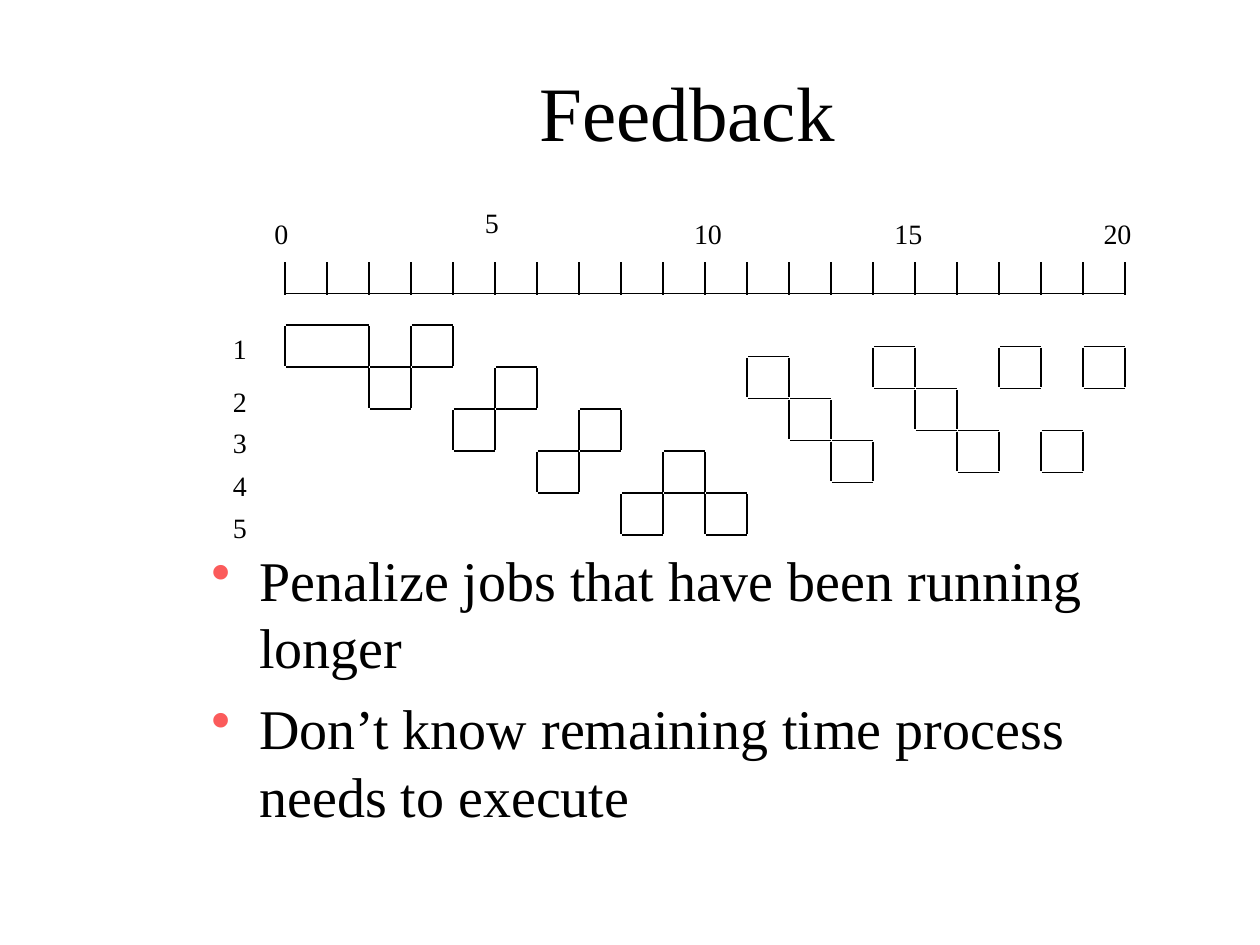
import pptx
import pptx.util
from lxml import etree
from pptx.dml.color import RGBColor
from pptx.enum.shapes import MSO_CONNECTOR
from pptx.enum.text import MSO_ANCHOR, PP_ALIGN
from pptx.oxml.ns import qn
from pptx.util import Inches

COLORS = {"ink": "000000", "bullet": "FB5B5B"}
FONT = "Times New Roman"
SLOT = 1 / 3
AXIS_LEFT, AXIS_Y, TICK_TOP = 2.26, 2.33, 2.08
SLOT_COUNT = 20
EDGE_GAP = 0.01

TIME_LABELS = [("0", 2.08, 1.67), ("5", 3.75, 1.58), ("10", 5.41, 1.67),
               ("15", 7, 1.67), ("20", 8.66, 1.67)]
PROCESS_LABELS = [("1", 2.58), ("2", 3), ("3", 3.33), ("4", 3.67), ("5", 4)]
# Top of the first row -> (start slot, row, slots used)
RUNS = {
    2.58: [(0, 0, 2), (2, 1, 1), (3, 0, 1), (4, 2, 1), (5, 1, 1), (6, 3, 1),
           (7, 2, 1), (8, 4, 1), (9, 3, 1), (10, 4, 1)],
    2.83: [(11, 0, 1), (12, 1, 1), (13, 2, 1)],
    2.75: [(14, 0, 1), (15, 1, 1), (16, 2, 1), (17, 0, 1), (18, 2, 1),
           (19, 0, 1)],
}
POINTS = ["Penalize jobs that have been running longer",
          "Don’t know remaining time process needs to execute"]


def add_bullet(paragraph):
    """Give the paragraph a coloured bullet with a hanging indent."""
    properties = paragraph._p.get_or_add_pPr()
    properties.set("marL", str(Inches(0.38)))
    properties.set("indent", str(Inches(-0.38)))
    color = etree.SubElement(properties, qn("a:buClr"))
    etree.SubElement(color, qn("a:srgbClr"), val=COLORS["bullet"])
    etree.SubElement(properties, qn("a:buChar"), char="•")


def add_text(slide, lines, left, top, width, height, size=16,
             align=PP_ALIGN.LEFT, anchor=MSO_ANCHOR.TOP, wrap=True,
             bullets=False, space_before=0):
    box = slide.shapes.add_textbox(Inches(left), Inches(top),
                                   Inches(width), Inches(height))
    frame = box.text_frame
    frame.word_wrap = wrap
    frame.vertical_anchor = anchor
    for index, line in enumerate(lines):
        paragraph = frame.paragraphs[0] if index == 0 else frame.add_paragraph()
        if bullets:
            add_bullet(paragraph)
        paragraph.alignment = align
        if index:
            paragraph.space_before = pptx.util.Pt(space_before)
        run = paragraph.add_run()
        run.text = line
        run.font.size = pptx.util.Pt(size)
        run.font.name = FONT
        run.font.color.rgb = RGBColor.from_string(COLORS["ink"])


def add_line(slide, x1, y1, x2, y2):
    line = slide.shapes.add_connector(MSO_CONNECTOR.STRAIGHT, Inches(x1),
                                      Inches(y1), Inches(x2), Inches(y2))
    line.line.width = pptx.util.Pt(1)
    line.line.color.rgb = RGBColor.from_string(COLORS["ink"])
    etree.SubElement(line._element.spPr, qn("a:effectLst"))


def slot_x(slot):
    return AXIS_LEFT + slot * SLOT


def add_time_axis(slide):
    add_line(slide, AXIS_LEFT, AXIS_Y, slot_x(SLOT_COUNT), AXIS_Y)
    for slot in range(SLOT_COUNT + 1):
        add_line(slide, slot_x(slot), AXIS_Y + EDGE_GAP, slot_x(slot), TICK_TOP)
    for label, left, top in TIME_LABELS:
        add_text(slide, [label], left, top, 0.2 + 0.11 * len(label), 0.36,
                 wrap=False)


def add_run_box(slide, start, top, slots):
    """Outline one stretch of processor time with four separate edges."""
    left, right, bottom = slot_x(start), slot_x(start + slots), top + SLOT
    for y in (top, bottom):
        add_line(slide, left + EDGE_GAP, y, right, y)
    for x in (left, right):
        add_line(slide, x, top + EDGE_GAP, x, bottom - EDGE_GAP)


def add_schedule(slide):
    for label, top in PROCESS_LABELS:
        add_text(slide, [label], 1.75, top, 0.31, 0.36, wrap=False)
    for first_top, runs in RUNS.items():
        for start, row, slots in runs:
            add_run_box(slide, start, first_top + row * SLOT, slots)


def main():
    presentation = pptx.Presentation()
    presentation.slide_width = Inches(10)
    presentation.slide_height = Inches(7.5)
    slide = presentation.slides.add_slide(presentation.slide_layouts[6])
    add_text(slide, ["Feedback"], 1.58, 0.25, 7.75, 1.25, size=44,
             align=PP_ALIGN.CENTER, anchor=MSO_ANCHOR.MIDDLE)
    add_text(slide, POINTS, 1.58, 4.28, 7.92, 2.39, size=32, bullets=True,
             space_before=8)
    add_time_axis(slide)
    add_schedule(slide)
    presentation.save("out.pptx")


if __name__ == "__main__":
    main()
